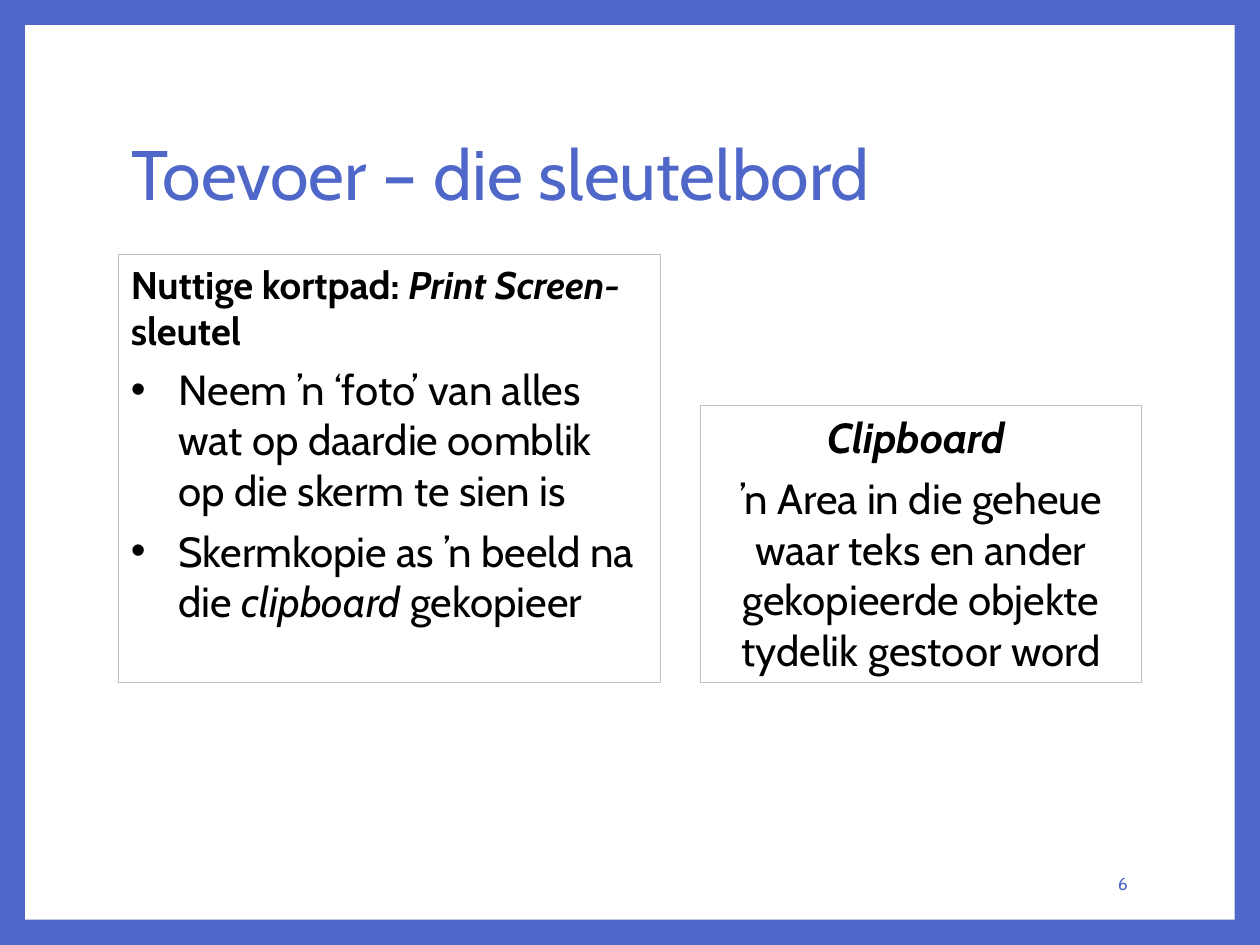
from dataclasses import dataclass

from lxml.etree import SubElement
from pptx import Presentation
from pptx.dml.color import RGBColor
from pptx.enum.shapes import MSO_SHAPE
from pptx.enum.text import MSO_ANCHOR, MSO_AUTO_SIZE, PP_ALIGN
from pptx.oxml.ns import qn
from pptx.util import Inches, Pt

COLOURS = {"accent": "4E67C8", "panel": "FFFFFF", "border": "BFBFBF", "text": "000000"}
FONT = "Cabin"
SLIDE_WIDTH, SLIDE_HEIGHT = 10, 7.5
MARGIN = 0.2
BOX_BOTTOM = 5.42
INDENT = Inches(0.38)


@dataclass
class Span:
    text: str
    bold: bool = False
    italic: bool = False


@dataclass
class Line:
    spans: list[Span]
    size: int = 24
    bullet: bool = False
    align: PP_ALIGN = PP_ALIGN.LEFT


@dataclass
class Box:
    left: float
    width: float
    height: float
    lines: list[Line]


BOXES = [
    Box(0.94, 4.3, 3.4, [
        Line([Span("Nuttige kortpad: ", bold=True),
              Span("Print Screen-", bold=True, italic=True),
              Span("sleutel", bold=True)], size=22),
        Line([Span("Neem ’n ‘foto’ van alles wat op daardie oomblik op "
                   "die skerm te sien is")], bullet=True),
        Line([Span("Skermkopie as ’n beeld na die "),
              Span("clipboard ", italic=True),
              Span("gekopieer")], bullet=True),
    ]),
    Box(5.56, 3.5, 2.2, [
        Line([Span("Clipboard ", bold=True, italic=True)], align=PP_ALIGN.CENTER),
        Line([Span("’n Area in die geheue waar teks en ander gekopieerde "
                   "objekte tydelik gestoor word")], align=PP_ALIGN.CENTER),
    ]),
]


def colour(name: str) -> RGBColor:
    return RGBColor.from_string(COLOURS[name])


def style_font(font, size: int, colour_name: str) -> None:
    font.name = FONT
    font.size = Pt(size)
    font.color.rgb = colour(colour_name)


def place(shape, left: float, top: float, width: float, height: float) -> None:
    shape.left, shape.top = Inches(left), Inches(top)
    shape.width, shape.height = Inches(width), Inches(height)


def add_rectangle(slide, left: float, top: float, width: float, height: float):
    shape = slide.shapes.add_shape(MSO_SHAPE.RECTANGLE, 0, 0, 0, 0)
    place(shape, left, top, width, height)
    shape.shadow.inherit = False
    return shape


def set_label(shape, text: str, size: int, align: PP_ALIGN) -> None:
    frame = shape.text_frame
    frame.text = text
    frame.word_wrap = True
    frame.auto_size = MSO_AUTO_SIZE.NONE
    frame.vertical_anchor = MSO_ANCHOR.MIDDLE
    paragraph = frame.paragraphs[0]
    paragraph.alignment = align
    style_font(paragraph.runs[0].font, size, "accent")


def write_line(paragraph, line: Line) -> None:
    paragraph.alignment = line.align
    paragraph.space_after = Pt(6)
    if line.bullet:
        properties = paragraph._p.get_or_add_pPr()
        properties.set("marL", str(INDENT))
        properties.set("indent", str(-INDENT))
        SubElement(properties, qn("a:buFont"), typeface="Arial")
        SubElement(properties, qn("a:buChar"), char="•")
    for span in line.spans:
        run = paragraph.add_run()
        run.text = span.text
        style_font(run.font, line.size, "text")
        run.font.bold, run.font.italic = span.bold, span.italic


def add_box(slide, box: Box) -> None:
    shape = add_rectangle(slide, box.left, BOX_BOTTOM - box.height, box.width, box.height)
    shape.fill.background()
    shape.line.color.rgb = colour("border")
    shape.line.width = Pt(0.75)
    frame = shape.text_frame
    frame.word_wrap = True
    frame.vertical_anchor = MSO_ANCHOR.TOP
    for index, line in enumerate(box.lines):
        write_line(frame.add_paragraph() if index else frame.paragraphs[0], line)


def main() -> None:
    presentation = Presentation()
    presentation.slide_width = Inches(SLIDE_WIDTH)
    presentation.slide_height = Inches(SLIDE_HEIGHT)
    slide = presentation.slides.add_slide(presentation.slide_layouts[5])

    # Coloured frame around a white panel, behind the title
    slide.background.fill.solid()
    slide.background.fill.fore_color.rgb = colour("accent")
    panel = add_rectangle(slide, MARGIN, MARGIN,
                          SLIDE_WIDTH - 2 * MARGIN, SLIDE_HEIGHT - 2 * MARGIN)
    panel.fill.solid()
    panel.fill.fore_color.rgb = colour("panel")
    panel.line.fill.background()
    title = slide.shapes.title
    title.element.addprevious(panel.element)

    # Title
    place(title, 0.94, 0.67, 8.1, 1.48)
    set_label(title, "Toevoer – die sleutelbord", 40, PP_ALIGN.LEFT)
    title.text_frame.paragraphs[0].line_spacing = 0.9

    # Slide number
    number = slide.shapes.add_textbox(0, 0, 0, 0)
    place(number, 7.65, 6.81, 1.4, 0.4)
    set_label(number, "6", 10, PP_ALIGN.RIGHT)

    # Text boxes sharing one bottom edge
    for box in BOXES:
        add_box(slide, box)

    presentation.save("out.pptx")


if __name__ == "__main__":
    main()
